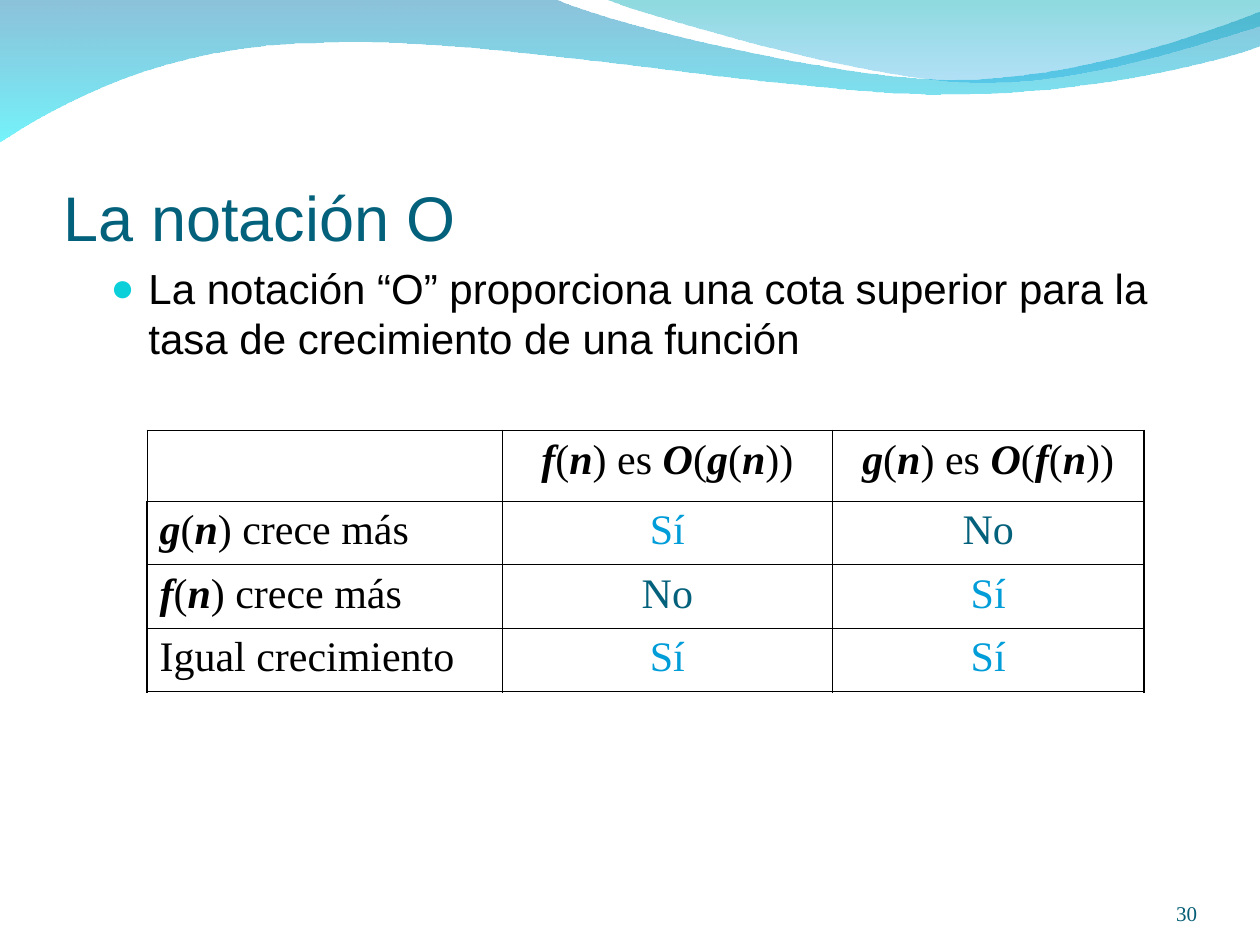
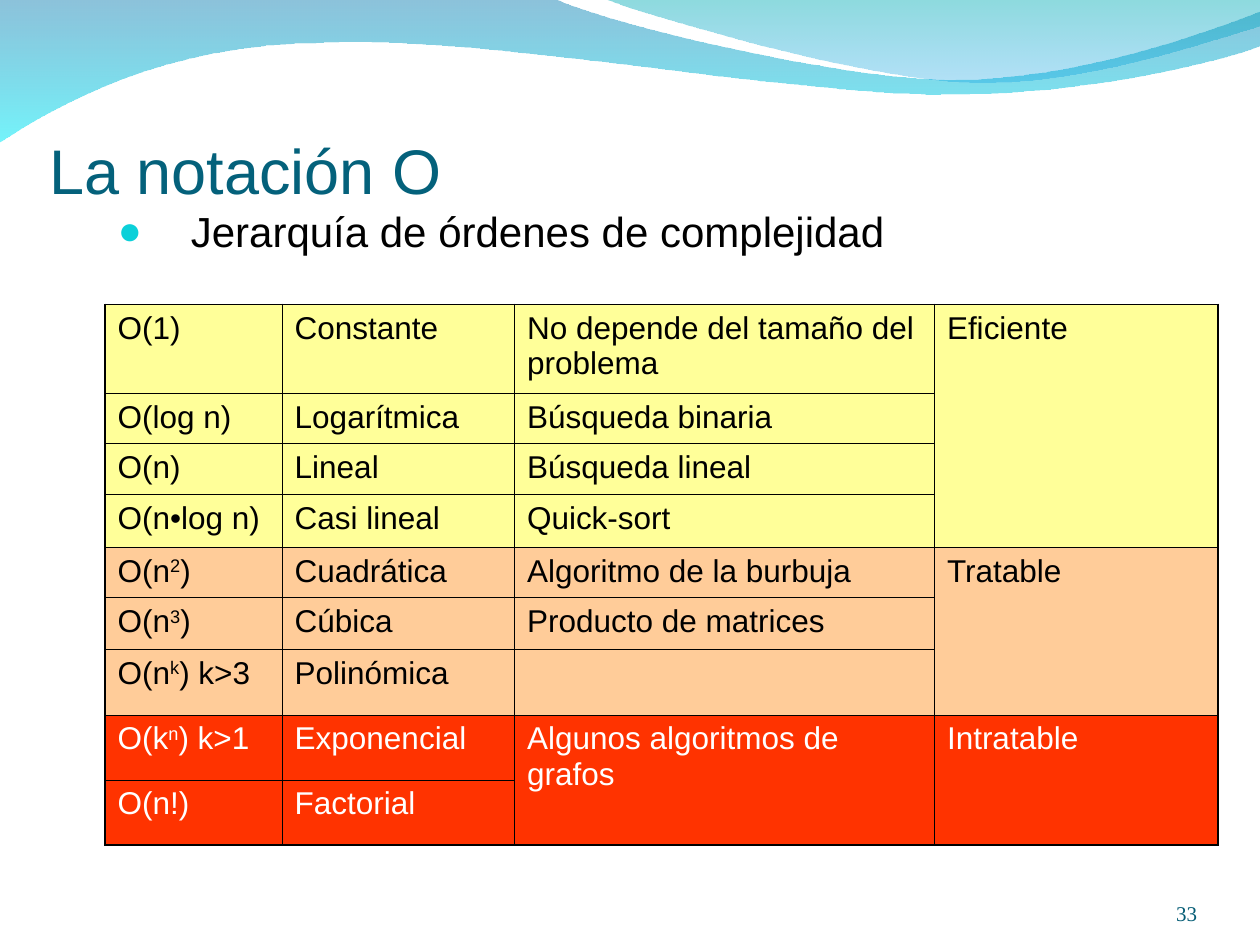
from lxml.etree import SubElement
from pptx import Presentation
from pptx.dml.color import RGBColor
from pptx.enum.text import MSO_ANCHOR as Anchor, PP_ALIGN as Align
from pptx.oxml import parse_xml
from pptx.oxml.ns import nsdecls, qn
from pptx.util import Pt

WIDTH, HEIGHT = 720, 540
SANS, SERIF = "Arial", "Times New Roman"
BLACK, WHITE = "000000", "FFFFFF"
TEAL, PAGE_BLUE, BULLET_CYAN, YES_BLUE = "04617B", "045C75", "0BD0D9", "009DD9"
YELLOW, ORANGE, RED = "FFFF99", "FFCC99", "FF3300"
THICK, THIN = 1.08, 0.45

# Each wave: start point, segments (one point is a line, three a curve),
# gradient stops (colour, opacity in percent)
WAVES = [
    ((0, -0.7),
     [[(316.8, -0.7)],
      [(342.7, 12.2), (478.1, 45.4), (545.8, 45.4)],
      [(614.2, 45.4), (689.8, 18.7), (720, 6.5)],
      [(720.7, 25.9)],
      [(707.8, 31.7), (626.4, 54.7), (537.1, 54)],
      [(447.8, 54), (275, 20.2), (185, 24.5)],
      [(92.9, 25.2), (33.1, 59.8), (-0.7, 81.4)]],
     [("0079AF", 45), ("00EBF8", 55)]),
    ((344.9, -0.7),
     [[(366.5, 7.9), (491, 44.6), (553.7, 46.8)],
      [(616.3, 49.7), (691.9, 23), (720, 15.1)],
      [(720, 0)]],
     [("00ADB6", 45), ("009BE5", 30)]),
]


def rgb(value):
    return RGBColor.from_string(value)


class Deck:
    def __init__(self):
        self.file = Presentation()
        self.file.slide_width, self.file.slide_height = Pt(WIDTH), Pt(HEIGHT)
        self.slide = None

    def new_slide(self, title, title_at, number):
        self.slide = self.file.slides.add_slide(self.file.slide_layouts[6])
        for wave in WAVES:
            self.wave(*wave)
        self.text(title, (*title_at, 648, 90), 36, TEAL,
                  insets=(0, 3.6, 0, 0), anchor=Anchor.BOTTOM)
        self.text(number, (624, 500.4, 60, 28.8), 12, PAGE_BLUE, font=SERIF,
                  insets=(0, 0, 0, 0), anchor=Anchor.BOTTOM, align=Align.RIGHT)

    def wave(self, start, segments, stops):
        outline = self.slide.shapes.build_freeform(Pt(start[0]), Pt(start[1]), scale=1.0)
        outline.add_line_segments([(Pt(x), Pt(y)) for points in segments for x, y in points],
                                  close=True)
        shape = outline.convert_to_shape()
        # Join the three points of each bend into one curve
        lines = iter(list(shape._element.iter(qn("a:lnTo"))))
        for points in segments:
            group = [next(lines) for _ in points]
            if len(group) == 3:
                bend = parse_xml(f'<a:cubicBezTo {nsdecls("a")}/>')
                group[0].addprevious(bend)
                for line in group:
                    bend.append(line[0])
                    line.getparent().remove(line)
        shape.shadow.inherit = False
        shape.line.fill.background()
        shape.fill.gradient()
        shape.fill.gradient_angle = 270
        for stop, (color, opacity) in zip(shape.fill.gradient_stops, stops):
            stop.color.rgb = rgb(color)
        for tint, (color, opacity) in zip(shape._element.spPr.iter(qn("a:srgbClr")), stops):
            SubElement(tint, qn("a:alpha"), val=str(opacity * 1000))

    def runs(self, paragraph, text, size, color, font):
        """Write text in which *...* is bold italic and ^...^ superscript."""
        for i, part in enumerate(text.split("*")):
            for j, piece in enumerate(part.split("^")):
                if not piece:
                    continue
                run = paragraph.add_run()
                run.text = piece
                run.font.size, run.font.name = Pt(size), font
                run.font.color.rgb = rgb(color)
                run.font.bold = run.font.italic = i % 2 == 1
                if j % 2:
                    run._r.get_or_add_rPr().set("baseline", "30000")

    def text(self, text, box, size, color, font=SANS, insets=(7.2, 3.6, 7.2, 3.6),
             anchor=Anchor.TOP, align=Align.LEFT):
        frame = self.slide.shapes.add_textbox(*map(Pt, box)).text_frame
        frame.word_wrap = True
        frame.vertical_anchor = anchor
        (frame.margin_left, frame.margin_top,
         frame.margin_right, frame.margin_bottom) = map(Pt, insets)
        paragraph = frame.paragraphs[0]
        paragraph.alignment = align
        self.runs(paragraph, text, size, color, font)
        return paragraph

    def bullet(self, text, box, indent):
        props = self.text(text, box, 24, BLACK)._p.get_or_add_pPr()
        props.set("marL", str(Pt(indent)))
        props.set("indent", str(-Pt(indent)))
        SubElement(SubElement(props, qn("a:buClr")), qn("a:srgbClr"), val=BULLET_CYAN)
        SubElement(props, qn("a:buSzPct"), val="95000")
        SubElement(props, qn("a:buFont"), typeface=SANS)
        SubElement(props, qn("a:buChar"), char="●")

    def table(self, left, top, widths, heights, merges=()):
        table = self.slide.shapes.add_table(
            len(heights), len(widths), Pt(left), Pt(top),
            Pt(sum(widths)), Pt(sum(heights))).table
        table.first_row = table.horz_banding = False
        for column, width in zip(table.columns, widths):
            column.width = Pt(width)
        for row, height in zip(table.rows, heights):
            row.height = Pt(height)
        for first, last in merges:
            table.cell(*first).merge(table.cell(*last))
        return table

    def cell(self, table, row, col, text, size, color, font, fill=None, align=Align.LEFT):
        cell = table.cell(row, col)
        if cell.is_spanned:
            return
        if fill:
            cell.fill.solid()
            cell.fill.fore_color.rgb = rgb(fill)
        else:
            cell.fill.background()
        paragraph = cell.text_frame.paragraphs[0]
        paragraph.alignment = align
        self.runs(paragraph, text, size, color, font)
        # Thick outer frame (thin left of an empty corner), thin inner grid
        last_row = row + (cell.span_height if cell.is_merge_origin else 1)
        outer = {"L": col == 0 and text, "R": col == len(table.columns) - 1,
                 "T": row == 0, "B": last_row == len(table.rows)}
        for place, (side, is_outer) in enumerate(outer.items()):
            width = Pt(THICK if is_outer else THIN)
            cell._tc.get_or_add_tcPr().insert(place, parse_xml(
                f'<a:ln{side} {nsdecls("a")} w="{width}"><a:solidFill>'
                f'<a:srgbClr val="{BLACK}"/></a:solidFill></a:ln{side}>'))


def growth_slide(deck):
    deck.new_slide("La notación O", (36.3, 55.44), "30")
    deck.bullet("La notación “O” proporciona una cota superior para la "
                "tasa de crecimiento de una función", (56.16, 146.3, 630, 203.76), 21.6)
    growth = [
        ["", "*f*(*n*) es *O*(*g*(*n*))", "*g*(*n*) es *O*(*f*(*n*))"],
        ["*g*(*n*) crece más", "Sí", "No"],
        ["*f*(*n*) crece más", "No", "Sí"],
        ["Igual crecimiento", "Sí", "Sí"],
    ]
    answers = {"Sí": YES_BLUE, "No": TEAL}
    table = deck.table(84, 246, [203.1, 188.6, 178.1], [40.4] + [36.3] * 3)
    for row, entries in enumerate(growth):
        for col, entry in enumerate(entries):
            deck.cell(table, row, col, entry, 24, answers.get(entry, BLACK), SERIF,
                      align=Align.CENTER if col else Align.LEFT)


def hierarchy_slide(deck):
    deck.new_slide("La notación O", (28.08, 28.08), "33")
    deck.bullet("Jerarquía de órdenes de complejidad", (60.2, 114, 624, 324), 41.76)
    # Fill, text colour and rows of each complexity class
    classes = [
        (YELLOW, BLACK, [
            ["O(1)", "Constante", "No depende del tamaño del problema", "Eficiente"],
            ["O(log n)", "Logarítmica", "Búsqueda binaria", ""],
            ["O(n)", "Lineal", "Búsqueda lineal", ""],
            ["O(n•log n)", "Casi lineal", "Quick-sort", ""]]),
        (ORANGE, BLACK, [
            ["O(n^2^)", "Cuadrática", "Algoritmo de la burbuja", "Tratable"],
            ["O(n^3^)", "Cúbica", "Producto de matrices", ""],
            ["O(n^k^) k>3", "Polinómica", "", ""]]),
        (RED, WHITE, [
            ["O(k^n^) k>1", "Exponencial", "Algunos algoritmos de grafos", "Intratable"],
            ["O(n!)", "Factorial", "", ""]]),
    ]
    table = deck.table(60, 174, [101.2, 132.8, 240, 162],
                       [50.7, 28.8, 29, 30.2, 28.8, 29.6, 37.5, 37.2, 37],
                       merges=[((0, 3), (3, 3)), ((4, 3), (6, 3)),
                               ((7, 3), (8, 3)), ((7, 2), (8, 2))])
    row = 0
    for fill, color, orders in classes:
        for entries in orders:
            for col, entry in enumerate(entries):
                deck.cell(table, row, col, entry, 18, color, SANS, fill)
            row += 1


def main():
    deck = Deck()
    growth_slide(deck)
    hierarchy_slide(deck)
    deck.file.save("out.pptx")


if __name__ == "__main__":
    main()
